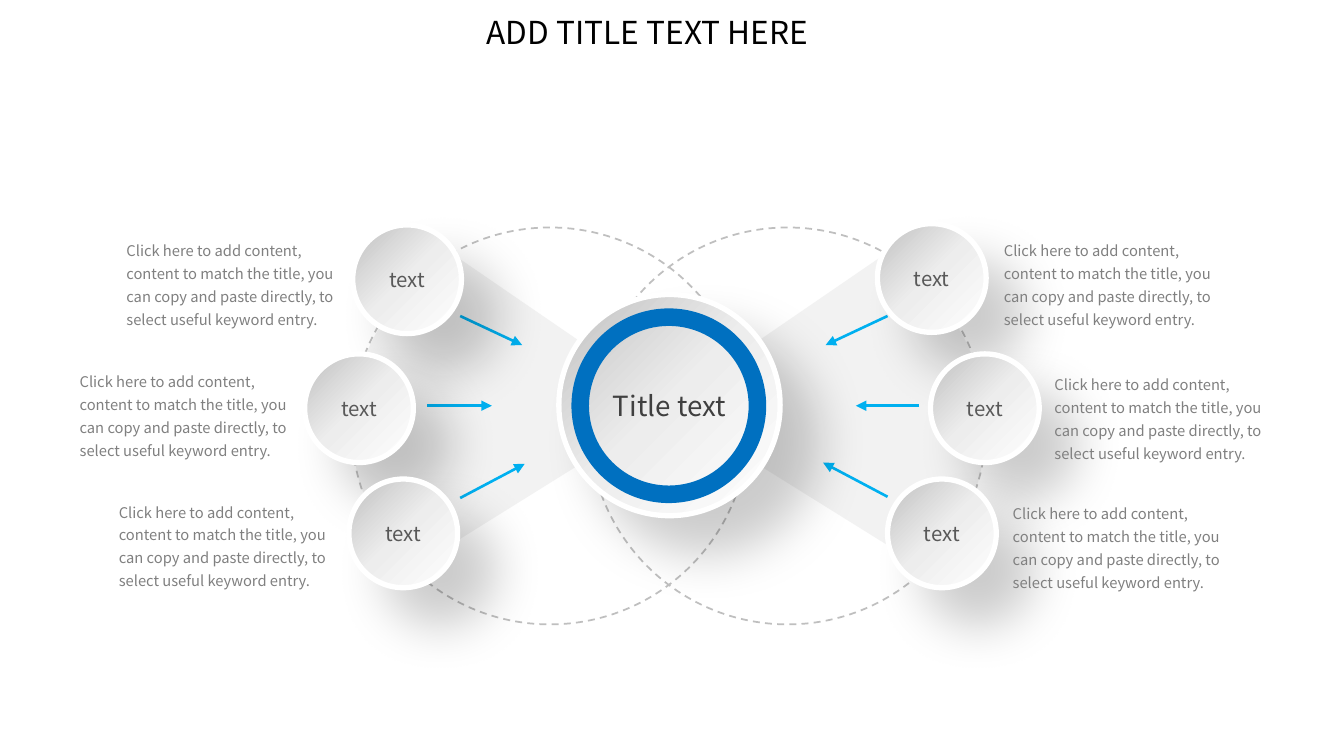
from copy import deepcopy
from lxml import etree
from pptx import Presentation
from pptx.dml.color import RGBColor
from pptx.enum.dml import MSO_LINE
from pptx.enum.shapes import MSO_CONNECTOR, MSO_SHAPE
from pptx.enum.text import MSO_ANCHOR, MSO_AUTO_SIZE, PP_ALIGN
from pptx.oxml.ns import qn
from pptx.util import Inches, Pt

TITLE = "ADD TITLE TEXT HERE"
HUB = "Title text"
NODE = "text"
BODY = ("Click here to add content, content to match the title, you can copy "
        "and paste directly, to select useful keyword entry.")

# node left/top, body left/top, arrow from, arrow to
SPOKES = [
    ((2.79, 1.78), (0.92, 1.83), (3.64, 2.5), (4.13, 2.73)),
    ((2.41, 2.8), (0.55, 2.87), (3.38, 3.21), (3.89, 3.21)),
    ((2.76, 3.79), (0.86, 3.9), (3.64, 3.94), (4.15, 3.67)),
    ((6.94, 1.77), (7.86, 1.83), (7.02, 2.5), (6.53, 2.73)),
    ((7.36, 2.8), (8.26, 2.89), (7.27, 3.21), (6.77, 3.21)),
    ((7.02, 3.79), (7.93, 3.91), (7.02, 3.93), (6.51, 3.66)),
]
ORBITS = [2.78, 4.66]
FAN_APEX = (5.25, 3.21)
FAN_CURVES = [
    [(7.32, 4.5), (7.82, 3.89), (7.77, 3.67), (7.79, 3.35)],
    [(7.79, 3.35), (7.78, 3.09), (7.72, 2.81), (7.57, 2.58)],
    [(7.57, 2.58), (7.32, 2.24), (7.38, 2.27), (7, 2.01)],
]
MIRROR_SUM = 10.58
STEPS = 10

FONT = "Noto Sans CJK SC"
BLACK = RGBColor(0, 0, 0)
WHITE = RGBColor(255, 255, 255)
DARK = RGBColor(0x40, 0x40, 0x40)
GREY = RGBColor(0x59, 0x59, 0x59)
MID = RGBColor(0x80, 0x80, 0x80)
DASHED = RGBColor(0xBF, 0xBF, 0xBF)
PALE = RGBColor(0xF2, 0xF2, 0xF2)
BLUE = RGBColor(0x00, 0x70, 0xC0)
CYAN = RGBColor(0x00, 0xB0, 0xF0)
STOPS = [(0, RGBColor(0xC0, 0xC0, 0xC0)), (0.49, RGBColor(0xED, 0xED, 0xED)), (1, WHITE)]
OVAL, DONUT = MSO_SHAPE.OVAL, MSO_SHAPE.DONUT
STRAIGHT, DASH = MSO_CONNECTOR.STRAIGHT, MSO_LINE.DASH
MIDDLE, CENTER = MSO_ANCHOR.MIDDLE, PP_ALIGN.CENTER
GROW = MSO_AUTO_SIZE.SHAPE_TO_FIT_TEXT

prs = Presentation()
prs.slide_width, prs.slide_height = Inches(10.63), Inches(5.91)
s = prs.slides.add_slide(prs.slide_layouts[6])


def set_all(obj, values):
    for name, value in values.items():
        setattr(obj, name, value)


def write(sp, text, size, color, inset, frame, para):
    tf = sp.text_frame
    set_all(tf, {"word_wrap": True, "margin_left": Inches(inset), "margin_right": Inches(inset),
                 "margin_top": Inches(0.04), "margin_bottom": Inches(0.04), **frame})
    p = tf.paragraphs[0]
    set_all(p, para)
    r = p.add_run()
    r.text = text
    set_all(r.font, {"name": FONT, "size": Pt(size)})
    r.font.color.rgb = color


def add_ring(kind, left, top, size):
    sp = s.shapes.add_shape(kind, *map(Inches, (left, top, size, size)))
    sp.shadow.inherit = False
    return sp


def add_ball(left, top, size, text, font_size, color):
    sp = add_ring(OVAL, left, top, size)
    sp.fill.gradient()
    sp.fill.gradient_angle = 315
    stops = sp._element.spPr.find(qn("a:gradFill")).find(qn("a:gsLst"))
    stops.append(deepcopy(stops[0]))
    for stop, (position, shade) in zip(sp.fill.gradient_stops, STOPS):
        stop.color.rgb = shade
        stop.position = position
    sp.line.color.rgb = WHITE
    sp.line.width = Pt(3)
    effects = sp._element.spPr.find(qn("a:effectLst"))
    shadow = etree.SubElement(effects, qn("a:outerShdw"), blurRad=str(Pt(29)), dist=str(Pt(29)),
                              dir="2700000", algn="tl", rotWithShape="0")
    tint = etree.SubElement(shadow, qn("a:srgbClr"), val="000000")
    etree.SubElement(tint, qn("a:alpha"), val="20000")
    write(sp, text, font_size, color, 0, {"vertical_anchor": MIDDLE}, {"alignment": CENTER})


def add_text(left, top, width, height, text, size, color, inset, para):
    sp = s.shapes.add_textbox(*map(Inches, (left, top, width, height)))
    write(sp, text, size, color, inset, {"auto_size": GROW}, para)


def add_arrow(start, end):
    c = s.shapes.add_connector(STRAIGHT, *map(Inches, start + end))
    c.line.color.rgb = CYAN
    c.line.width = Pt(1.5)
    etree.SubElement(c.line._get_or_add_ln(), qn("a:tailEnd"), type="triangle")
    etree.SubElement(c._element.spPr, qn("a:effectLst"))


def bezier(points, t):
    weights = ((1 - t) ** 3, 3 * t * (1 - t) ** 2, 3 * t * t * (1 - t), t ** 3)
    return tuple(sum(w * pt[i] for w, pt in zip(weights, points)) for i in (0, 1))


def add_fan(points):
    (x, y), *rest = [(Inches(px), Inches(py)) for px, py in points]
    builder = s.shapes.build_freeform(x, y)
    builder.add_line_segments(rest, close=True)
    sp = builder.convert_to_shape()
    sp.shadow.inherit = False
    sp.fill.solid()
    sp.fill.fore_color.rgb = PALE
    sp.line.fill.background()


fan = [FAN_APEX] + [bezier(curve, i / STEPS) for curve in FAN_CURVES for i in range(STEPS + 1)]
add_fan(fan)
add_fan([(MIRROR_SUM - x, y) for x, y in fan])

for left in ORBITS:
    sp = add_ring(OVAL, left, 1.8, 3.14)
    sp.fill.background()
    sp.line.color.rgb = DASHED
    set_all(sp.line, {"width": Pt(1), "dash_style": DASH})

for _, _, start, end in SPOKES:
    add_arrow(start, end)
for node, _, _, _ in SPOKES:
    add_ball(*node, 0.86, NODE, 11.6, GREY)
for _, body, _, _ in SPOKES:
    add_text(*body, 1.85, 0.98, BODY, 8.4, MID, 0.08, {"line_spacing": 1.3})

add_ball(4.42, 2.33, 1.75, HUB, 15.8, DARK)
sp = add_ring(DONUT, 4.52, 2.44, 1.54)
sp.adjustments[0] = 0.09
sp.fill.solid()
sp.fill.fore_color.rgb = BLUE
sp.line.fill.background()

add_text(3.78, 0.06, 2.89, 0.38, TITLE, 18, BLACK, 0.07, {})

prs.save("out.pptx")
